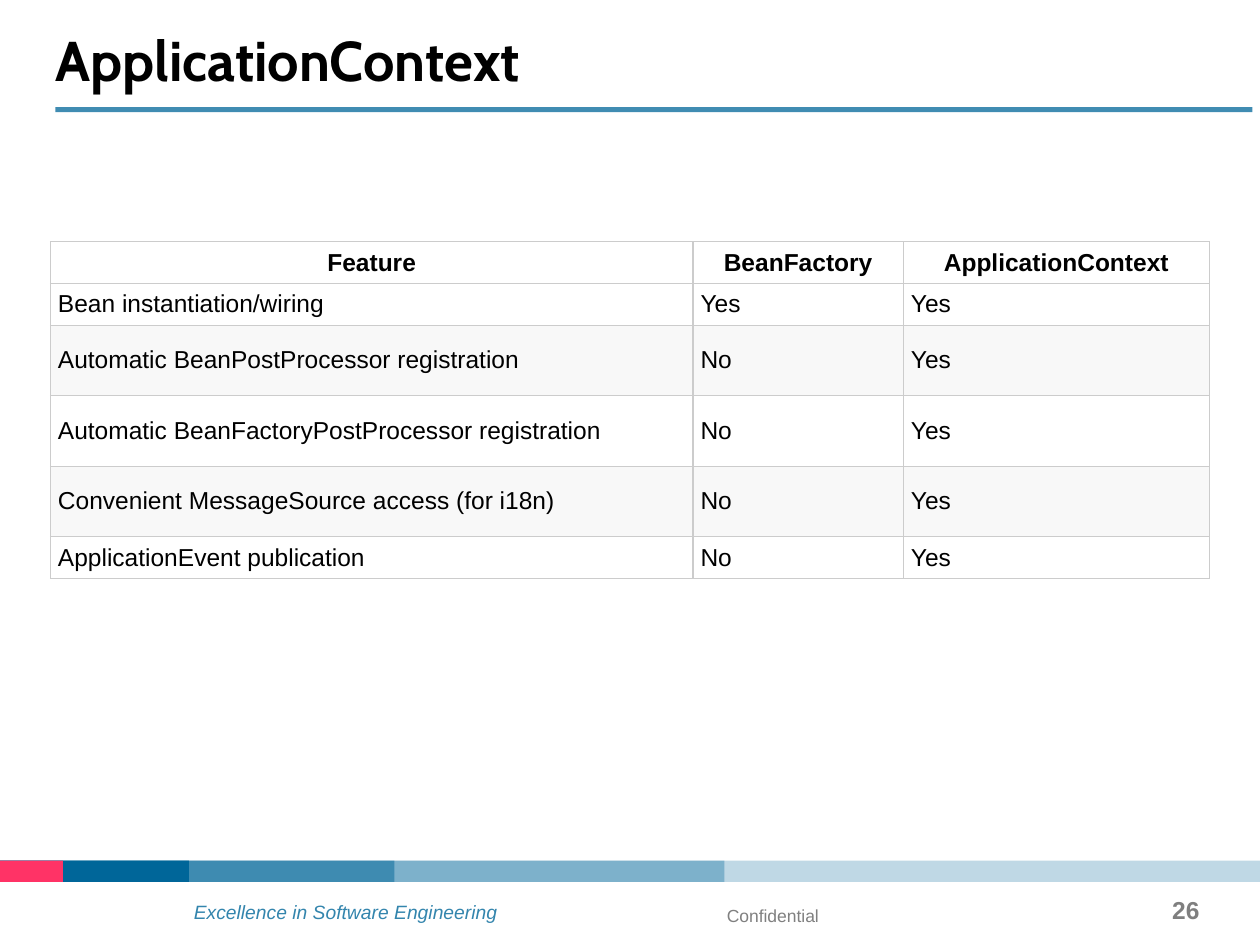
from typing import NamedTuple

from lxml import etree
from pptx import Presentation
from pptx.dml.color import RGBColor
from pptx.enum import shapes, text
from pptx.oxml.ns import qn
from pptx.util import Inches, Pt

NAVY = RGBColor(0x00, 0x66, 0x99)
PINK = RGBColor(0xFF, 0x33, 0x66)
TAGLINE_BLUE = RGBColor(0x33, 0x85, 0xAD)
BLACK = RGBColor(0x00, 0x00, 0x00)
WHITE = RGBColor(0xFF, 0xFF, 0xFF)
STRIPE = RGBColor(0xF8, 0xF8, 0xF8)
BORDER = RGBColor(0xCC, 0xCC, 0xCC)
GRAY = RGBColor(0x80, 0x80, 0x80)
PAGE_GRAY = RGBColor(0x7F, 0x7F, 0x7F)


class Band(NamedTuple):
    width: float
    color: RGBColor
    opacity: int


class Label(NamedTuple):
    wording: str
    area: tuple[float, float, float, float]
    insets: tuple[float, float, float, float]
    size: int
    color: RGBColor
    bold: bool = False
    italic: bool = False
    align: text.PP_ALIGN = text.PP_ALIGN.LEFT
    spacing: float = 1.0


class Feature(NamedTuple):
    name: str
    bean_factory: str
    application_context: str
    height: float


# Each band starts at the left edge and overlaps the wider one before it
BANDS = [
    Band(10, NAVY, 25),
    Band(5.75, NAVY, 34),
    Band(3.13, NAVY, 50),
    Band(1.5, NAVY, 100),
    Band(0.5, PINK, 100),
]
LABELS = [
    Label("Excellence in Software Engineering", (1.44, 7.18, 2.86, 0.15),
          (0.1, 0, 0.1, 0), 11, TAGLINE_BLUE, italic=True, spacing=0.8),
    Label("Confidential", (5.67, 7.13, 3.33, 0.37), (0.1, 0.05, 0.1, 0), 10, GRAY),
    Label("26", (8.99, 7.1, 0.53, 0.4), (0, 0, 0, 0), 14, PAGE_GRAY,
          bold=True, align=text.PP_ALIGN.RIGHT),
]
COLUMN_WIDTHS = (5.1, 1.67, 2.43)
FEATURES = [
    Feature("Feature", "BeanFactory", "ApplicationContext", 0.33),
    Feature("Bean instantiation/wiring", "Yes", "Yes", 0.33),
    Feature("Automatic BeanPostProcessor registration", "No", "Yes", 0.56),
    Feature("Automatic BeanFactoryPostProcessor registration", "No", "Yes", 0.56),
    Feature("Convenient MessageSource access (for i18n)", "No", "Yes", 0.56),
    Feature("ApplicationEvent publication", "No", "Yes", 0.33),
]


def add_span(para, wording: str, size: int, color: RGBColor,
             bold: bool = False, italic: bool = False, font: str = "Arial") -> None:
    span = para.add_run()
    span.text = wording
    span.font.name = font
    span.font.size = Pt(size)
    span.font.bold = bold
    span.font.italic = italic
    span.font.color.rgb = color


def set_insets(frame, left: float, top: float, right: float, bottom: float) -> None:
    frame.margin_left, frame.margin_top = Inches(left), Inches(top)
    frame.margin_right, frame.margin_bottom = Inches(right), Inches(bottom)


def add_bar(page, left: float, top: float, width: float, height: float,
            color: RGBColor, opacity: int = 100) -> None:
    bar = page.shapes.add_shape(shapes.MSO_SHAPE.RECTANGLE, Inches(left),
                                Inches(top), Inches(width), Inches(height))
    bar.shadow.inherit = False
    bar.line.fill.background()
    bar.fill.solid()
    bar.fill.fore_color.rgb = color
    if opacity < 100:
        tint = bar.fill._xPr.find(f"{qn('a:solidFill')}/{qn('a:srgbClr')}")
        etree.SubElement(tint, qn("a:alpha"), val=str(opacity * 1000))


def add_label(page, label: Label) -> None:
    box = page.shapes.add_textbox(*map(Inches, label.area))
    frame = box.text_frame
    frame.word_wrap = True
    set_insets(frame, *label.insets)
    para = frame.paragraphs[0]
    para.alignment = label.align
    para.line_spacing = label.spacing
    add_span(para, label.wording, label.size, label.color, label.bold, label.italic)


def set_title(page) -> None:
    title = page.shapes.title
    title.left, title.top = Inches(0.44), Inches(0.3)
    title.width, title.height = Inches(9.5), Inches(0.59)
    frame = title.text_frame
    frame.vertical_anchor = text.MSO_ANCHOR.TOP
    frame.auto_size = text.MSO_AUTO_SIZE.NONE
    set_insets(frame, 0, 0.05, 0.1, 0.15)
    para = frame.paragraphs[0]
    para.alignment = text.PP_ALIGN.LEFT
    para.line_spacing = Pt(28)
    add_span(para, "ApplicationContext", 32, BLACK, bold=True, font="Cabin")


def set_borders(cell) -> None:
    properties = cell._tc.get_or_add_tcPr()
    for position, side in enumerate(("a:lnL", "a:lnR", "a:lnT", "a:lnB")):
        line = etree.Element(qn(side), w=str(Pt(0.75)))
        fill = etree.SubElement(line, qn("a:solidFill"))
        etree.SubElement(fill, qn("a:srgbClr"), val=str(BORDER))
        properties.insert(position, line)


def add_feature_table(page) -> None:
    total_height = sum(feature.height for feature in FEATURES)
    table = page.shapes.add_table(
        len(FEATURES), len(COLUMN_WIDTHS), Inches(0.4), Inches(1.92),
        Inches(sum(COLUMN_WIDTHS)), Inches(total_height)).table
    for column, width in zip(table.columns, COLUMN_WIDTHS):
        column.width = Inches(width)
    for index, (row, feature) in enumerate(zip(table.rows, FEATURES)):
        row.height = Inches(feature.height)
        header = index == 0
        striped = index > 0 and index % 2 == 0
        side = 0.1 if header else 0.06
        for cell, wording in zip(row.cells, feature[:3]):
            cell.fill.solid()
            cell.fill.fore_color.rgb = STRIPE if striped else WHITE
            cell.vertical_anchor = text.MSO_ANCHOR.MIDDLE
            set_insets(cell, side, 0.05, side, 0.05)
            set_borders(cell)
            para = cell.text_frame.paragraphs[0]
            para.alignment = text.PP_ALIGN.CENTER if header else text.PP_ALIGN.LEFT
            add_span(para, wording, 14, BLACK, bold=header)


def main() -> None:
    deck = Presentation()
    deck.slide_width, deck.slide_height = Inches(10), Inches(7.5)
    page = deck.slides.add_slide(deck.slide_layouts[5])

    # Title and the rule below it
    set_title(page)
    add_bar(page, 0.44, 0.85, 9.5, 0.04, NAVY, 75)

    # Feature comparison
    add_feature_table(page)

    # Footer bands and labels
    for band in BANDS:
        add_bar(page, 0, 6.83, band.width, 0.17, band.color, band.opacity)
    for label in LABELS:
        add_label(page, label)

    deck.save("out.pptx")


if __name__ == "__main__":
    main()
